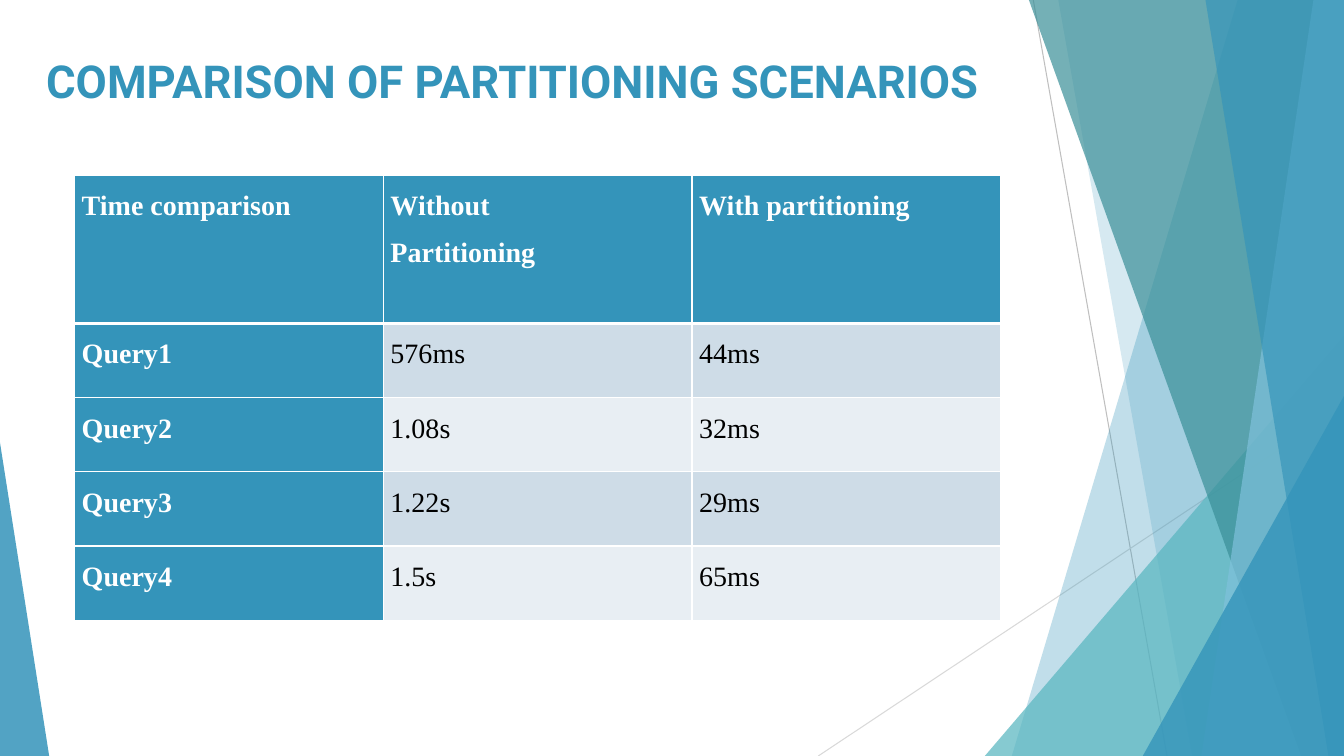
from lxml import etree
from pptx import Presentation
from pptx.dml.color import RGBColor
from pptx.enum.shapes import MSO_CONNECTOR, MSO_SHAPE
from pptx.enum.text import MSO_ANCHOR, PP_ALIGN
from pptx.oxml.ns import qn
from pptx.util import Cm, Pt

STRAIGHT = MSO_CONNECTOR.STRAIGHT
TRIANGLE = MSO_SHAPE.ISOSCELES_TRIANGLE
TOP = MSO_ANCHOR.TOP
LEFT, CENTER = PP_ALIGN.LEFT, PP_ALIGN.CENTER

W, H = 33.87, 19.05
COLORS = {
    "blue": "3494BA", "aqua": "58B6C0", "teal": "3A8F98", "sky": "7FC1DB",
    "band_dark": "CEDCE7", "band_light": "E8EEF3", "white": "FFFFFF",
    "black": "000000", "grey": "BFBFBF", "light_grey": "D9D9D9",
}
ROWS = [
    ["Time comparison", "Without\nPartitioning", "With partitioning"],
    ["Query1", "576ms", "44ms"],
    ["Query2", "1.08s", "32ms"],
    ["Query3", "1.22s", "29ms"],
    ["Query4", "1.5s", "65ms"],
]


def rgb(name):
    return RGBColor.from_string(COLORS[name])


def write(tf, text, *, font, size, color, bold=False, align=LEFT, spacing=1.0):
    """Fill a text frame, one paragraph for each line of text."""
    for i, line in enumerate(text.split("\n")):
        p = tf.add_paragraph() if i else tf.paragraphs[0]
        p.alignment, p.line_spacing = align, spacing
        r = p.add_run()
        r.text = line
        r.font.name, r.font.size, r.font.bold = font, Pt(size), bold
        r.font.color.rgb = rgb(color)


class SlideBuilder:
    """Holds the fonts and the slide being built."""
    title_font, table_font = "Roboto", "Times New Roman"

    def __init__(self, s):
        self.s = s

    def paint(self, sp, color, opacity):
        sp.shadow.inherit = False
        sp.line.fill.background()
        sp.fill.solid()
        sp.fill.fore_color.rgb = rgb(color)
        clr = sp.fill._xPr.find(".//" + qn("a:srgbClr"))
        etree.SubElement(clr, qn("a:alpha"), val=str(opacity * 1000))

    def line(self, x1, y1, x2, y2, color):
        c = self.s.shapes.add_connector(STRAIGHT, Cm(x1), Cm(y1), Cm(x2), Cm(y2))
        c.line.color.rgb, c.line.width = rgb(color), Pt(0.75)
        etree.SubElement(c._element.spPr, qn("a:effectLst"))

    def band(self, x_top, x_bottom, color, opacity):
        """Full-height area between a slanted edge and the right slide edge."""
        fb = self.s.shapes.build_freeform(Cm(x_top), 0)
        fb.add_line_segments([(Cm(W), 0), (Cm(W), Cm(H)), (Cm(x_bottom), Cm(H))])
        self.paint(fb.convert_to_shape(), color, opacity)

    def corner(self, x, y, width, apex, color, opacity):
        """Right triangle standing on the bottom edge of the slide."""
        sp = self.s.shapes.add_shape(TRIANGLE, Cm(x), Cm(y), Cm(width), Cm(H - y))
        sp.adjustments[0] = apex
        self.paint(sp, color, opacity)

    def title(self, text, x, y, w, h):
        sp = self.s.shapes.title
        sp.left, sp.top, sp.width, sp.height = Cm(x), Cm(y), Cm(w), Cm(h)
        tf = sp.text_frame
        tf.word_wrap, tf.vertical_anchor, tf.margin_top = True, TOP, Cm(0.2)
        write(tf, text, font=self.title_font, size=32.4, color="blue",
              bold=True, align=CENTER)
        self.s.shapes._spTree.append(sp._element)  # in front of the bands

    def borders(self, cell, top, bottom):
        widths = {"L": 1, "R": 1, "T": top, "B": bottom}
        tcPr = cell._tc.get_or_add_tcPr()
        for i, (side, width) in enumerate(widths.items()):
            ln = etree.Element(qn(f"a:ln{side}"), w=str(Pt(width)))
            fill = etree.SubElement(ln, qn("a:solidFill"))
            etree.SubElement(fill, qn("a:srgbClr"), val=COLORS["white"])
            tcPr.insert(i, ln)

    def table(self, rows, x, y, col_w, head_h, row_h):
        n, m = len(rows), len(rows[0])
        t = self.s.shapes.add_table(n, m, Cm(x), Cm(y), Cm(col_w * m),
                                    Cm(head_h + row_h * (n - 1))).table
        t.first_col = True
        for col in t.columns:
            col.width = Cm(col_w)
        for i, row in enumerate(rows):
            t.rows[i].height = Cm(row_h if i else head_h)
            for j, text in enumerate(row):
                cell, head = t.cell(i, j), i == 0 or j == 0
                cell.margin_left = cell.margin_right = Cm(0.18)
                cell.margin_top = cell.margin_bottom = 0
                band = "band_dark" if i % 2 else "band_light"
                cell.fill.solid()
                cell.fill.fore_color.rgb = rgb("blue" if head else band)
                self.borders(cell, 3 if i == 1 else 1, 3 if i == 0 else 1)
                write(cell.text_frame, text, font=self.table_font, size=20,
                      color="white" if head else "black", bold=head, spacing=1.5)


def main():
    prs = Presentation()
    prs.slide_width, prs.slide_height = Cm(W), Cm(H)
    b = SlideBuilder(prs.slides.add_slide(prs.slide_layouts[5]))

    b.line(26.04, 0, 29.41, H, "grey")
    b.line(W, 10.24, 20.62, H, "light_grey")
    b.band(31.19, 25.5, "blue", 30)
    b.band(26.67, 30.05, "blue", 20)
    b.corner(24.82, 8.46, W - 24.82, 1, "aqua", 72)
    b.band(25.93, 32.79, "teal", 70)
    b.band(33.1, 30.28, "sky", 70)
    b.band(30.38, 33.48, "blue", 65)
    b.corner(28.8, 9.98, W - 28.8, 1, "blue", 80)
    b.corner(0, 11.15, 1.24, 0, "blue", 85)

    b.title("COMPARISON OF PARTITIONING SCENARIOS", -0.28, 1.14, 26.39, 2.26)
    b.table(ROWS, x=1.88, y=4.42, col_w=7.78, head_h=3.73, row_h=1.87)
    prs.save("out.pptx")


if __name__ == "__main__":
    main()
